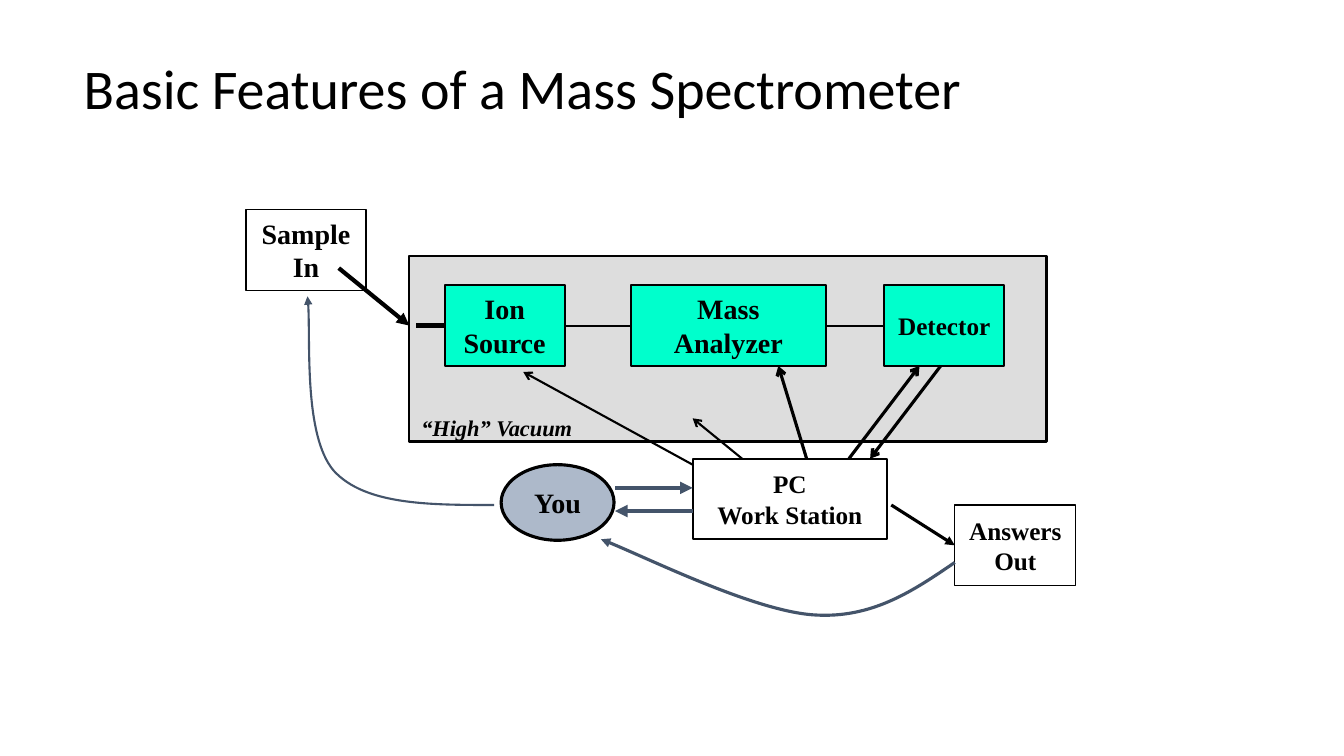
"""Build a slide with a block diagram of a mass spectrometer."""
from dataclasses import dataclass

from lxml import etree
from pptx import Presentation
from pptx.dml.color import RGBColor
from pptx.enum.shapes import MSO_CONNECTOR, MSO_SHAPE
from pptx.enum.text import MSO_ANCHOR, MSO_AUTO_SIZE, PP_ALIGN
from pptx.oxml.ns import qn
from pptx.util import Inches, Pt

RECTANGLE, OVAL = MSO_SHAPE.RECTANGLE, MSO_SHAPE.OVAL
STRAIGHT = MSO_CONNECTOR.STRAIGHT
LEFT, CENTER = PP_ALIGN.LEFT, PP_ALIGN.CENTER
MIDDLE = MSO_ANCHOR.MIDDLE
NO_AUTOFIT = MSO_AUTO_SIZE.NONE
TITLE_ONLY = 5


@dataclass(frozen=True)
class Theme:
    title_font: str = "Calibri"
    label_font: str = "Times New Roman"
    ink: str = "000000"
    white: str = "FFFFFF"
    chamber: str = "DDDDDD"
    instrument: str = "00FFCC"
    person: str = "ADB9CA"
    human_flow: str = "44546A"
    title_size: int = 40
    large: int = 20
    medium: int = 18
    small: int = 16
    fine: float = 1
    thin: float = 1.5
    medium_line: float = 2.25
    thick: float = 3


class Diagram:
    def __init__(self, slide, theme):
        self.slide, self.theme = slide, theme

    def title(self, text):
        heading = self.slide.shapes.title
        heading.left, heading.top = Inches(0.73), Inches(0.18)
        heading.width, heading.height = Inches(11.5), Inches(1.45)
        frame = heading.text_frame
        frame.text = text
        frame.auto_size = NO_AUTOFIT
        frame.vertical_anchor = MIDDLE
        frame.paragraphs[0].line_spacing = 0.9
        self._format(frame, self.theme.title_font, self.theme.title_size, LEFT)

    def box(self, area, fill, text="", size=None, weight=None, kind=RECTANGLE):
        block = self.slide.shapes.add_shape(kind, *map(Inches, area))
        block.shadow.inherit = False
        block.fill.solid()
        block.fill.fore_color.rgb = RGBColor.from_string(fill)
        self._stroke(block, self.theme.ink, weight or self.theme.thin)
        if text:
            frame = block.text_frame
            frame.text = text
            frame.word_wrap = False
            frame.vertical_anchor = MIDDLE
            self._format(frame, self.theme.label_font, size, CENTER, bold=True)

    def caption(self, area, text):
        frame = self.slide.shapes.add_textbox(*map(Inches, area)).text_frame
        frame.text = text
        frame.word_wrap = False
        self._format(frame, self.theme.label_font, self.theme.small, LEFT,
                     bold=True, italic=True)

    def line(self, start, end, weight, head=None, color=None):
        link = self.slide.shapes.add_connector(
            STRAIGHT, *map(Inches, (*start, *end)))
        self._stroke(link, color or self.theme.ink, weight, head)
        etree.SubElement(link._element.spPr, qn("a:effectLst"))

    def curve(self, start, controls, weight):
        """Draw Bezier segments, each given by three control points."""
        builder = self.slide.shapes.build_freeform(*map(Inches, start))
        builder.add_line_segments(
            [tuple(map(Inches, point)) for point in controls], close=False)
        flow = builder.convert_to_shape()
        flow.shadow.inherit = False
        flow.fill.background()
        self._stroke(flow, self.theme.human_flow, weight, "triangle")
        outline = next(flow._element.iter(qn("a:path")))
        segments = outline.findall(qn("a:lnTo"))
        for first in range(0, len(segments), 3):
            bezier = etree.SubElement(outline, qn("a:cubicBezTo"))
            for segment in segments[first:first + 3]:
                bezier.append(segment[0])
                outline.remove(segment)

    def _stroke(self, item, color, weight, head=None):
        item.line.color.rgb = RGBColor.from_string(color)
        item.line.width = Pt(weight)
        if head:
            outline = item._element.spPr.find(qn("a:ln"))
            etree.SubElement(outline, qn("a:tailEnd"), type=head)

    def _format(self, frame, font, size, align, bold=False, italic=False):
        for paragraph in frame.paragraphs:
            paragraph.alignment = align
            paragraph.font.name = font
            paragraph.font.size = Pt(size)
            paragraph.font.bold = bold
            paragraph.font.italic = italic
            paragraph.font.color.rgb = RGBColor.from_string(self.theme.ink)


def main():
    deck = Presentation()
    deck.slide_width, deck.slide_height = Inches(13.33), Inches(7.5)
    theme = Theme()
    diagram = Diagram(
        deck.slides.add_slide(deck.slide_layouts[TITLE_ONLY]), theme)
    diagram.title("Basic Features of a Mass Spectrometer")

    height, narrow, wide = 0.8, 1.19, 1.93
    stage_top, station_top = 2.83, 4.55
    stage_bottom, axis = stage_top + height, stage_top + height / 2
    chamber_left, station_left = 4.06, 6.87

    diagram.box((chamber_left, 2.54, 6.32, 1.84), theme.chamber)
    diagram.box((station_left, station_top, wide, height), theme.white,
                "PC\nWork Station", theme.medium)
    stages = [
        (4.41, narrow, "Ion\nSource", theme.large),
        (6.26, wide, "Mass\nAnalyzer", theme.large),
        (8.77, narrow, "Detector", theme.medium),
    ]
    for left, width, name, size in stages:
        diagram.box((left, stage_top, width, height), theme.instrument,
                    name, size)
    for (left, width, *_), (next_left, *_) in zip(stages, stages[1:]):
        diagram.line((left + width, axis), (next_left, axis), theme.thin)
    diagram.caption((4.08, 4.06, 1.72, 0.37), "“High” Vacuum")
    diagram.box((9.47, 5.01, 1.2, height), theme.white, "Answers\nOut",
                theme.medium, theme.fine)
    diagram.box((2.44, 2.08, narrow, height), theme.white, "Sample\nIn",
                theme.large, theme.fine)
    diagram.line((3.36, 2.66), (chamber_left, axis), theme.thick, "triangle")
    diagram.line((4.13, axis), (stages[0][0], axis), theme.thick)
    diagram.box((4.97, 4.61, 1.12, 0.75), theme.person, "You", theme.large,
                theme.medium_line, OVAL)

    control_signals = [
        ((station_left, 4.61), (5.19, 3.69), theme.thin),
        ((7.36, station_top), (station_left, 4.15), theme.thin),
        ((8, station_top), (7.72, stage_bottom), theme.medium_line),
        ((8.42, station_top), (9.12, stage_bottom), theme.medium_line),
        ((9.33, stage_bottom), (8.63, station_top), theme.medium_line),
    ]
    for start, end, weight in control_signals:
        diagram.line(start, end, weight, "arrow")

    you_right = 6.1
    for start, end, level in ((you_right, station_left, 4.84),
                              (station_left, you_right, 5.07)):
        diagram.line((start, level), (end, level), theme.thick, "triangle",
                     theme.human_flow)
    diagram.line((8.84, 5.01), (9.47, 5.41), theme.medium_line, "triangle")

    diagram.curve((9.47, 5.58),
                  [(9.06, 5.86), (8.65, 6.14), (8.07, 6.1),
                   (7.48, 6.06), (6.31, 5.48), (5.96, 5.35)],
                  theme.medium_line)
    diagram.curve((4.9, 5.01),
                  [(4.26, 5.01), (3.62, 5.01), (3.31, 4.67),
                   (3.01, 4.32), (3.09, 3.23), (3.05, 2.94)],
                  theme.thin)
    deck.save("out.pptx")


if __name__ == "__main__":
    main()
